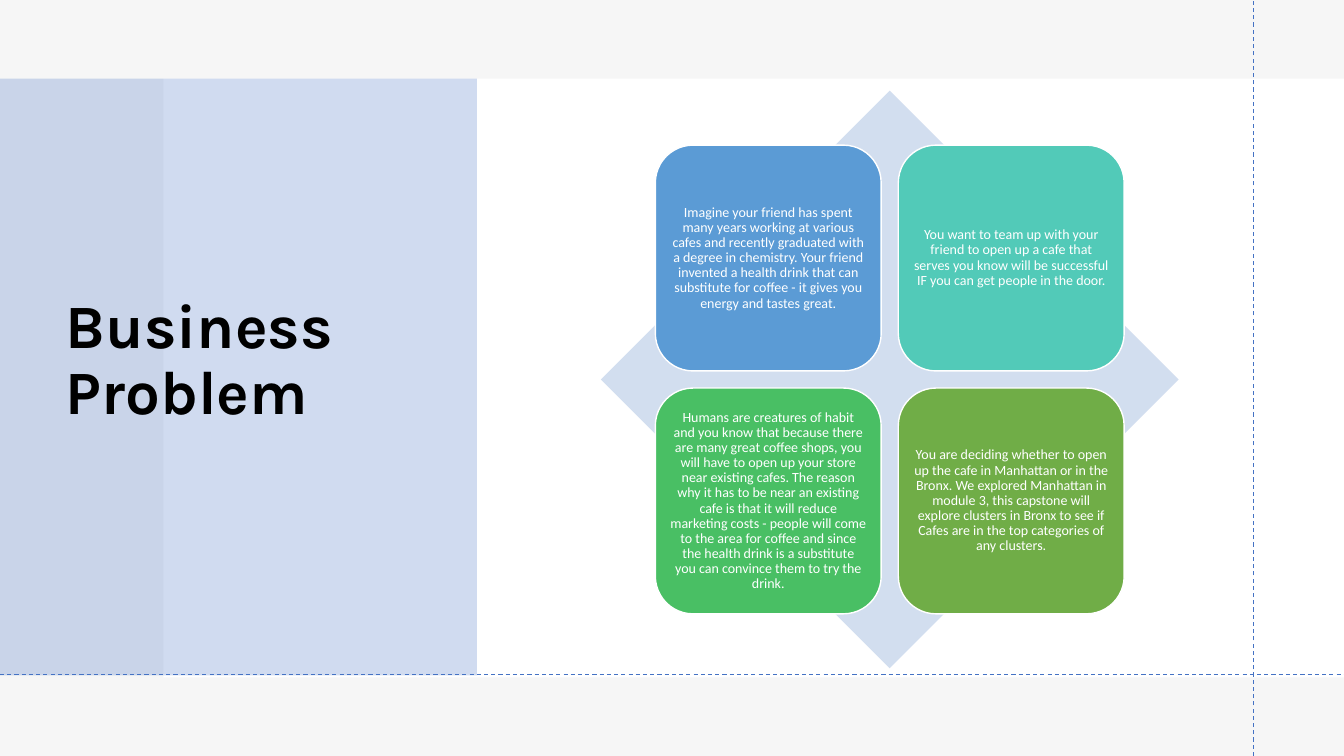
from lxml.etree import SubElement
from pptx import Presentation
from pptx.dml.color import RGBColor
from pptx.enum.dml import MSO_LINE
from pptx.enum.shapes import MSO_CONNECTOR, MSO_SHAPE
from pptx.enum.text import MSO_ANCHOR, MSO_AUTO_SIZE, PP_ALIGN
from pptx.oxml.ns import qn
from pptx.util import Inches, Pt

WHITE = RGBColor(0xFF, 0xFF, 0xFF)
BLACK = RGBColor(0x00, 0x00, 0x00)
GREY = RGBColor(0xE7, 0xE6, 0xE6)
BLUE = RGBColor(0x44, 0x72, 0xC4)
PALE_BLUE = RGBColor(0xD2, 0xDE, 0xEF)
SKY = RGBColor(0x5B, 0x9B, 0xD5)
TEAL = RGBColor(0x52, 0xCA, 0xB8)
GREEN = RGBColor(0x49, 0xBF, 0x64)
OLIVE = RGBColor(0x70, 0xAD, 0x47)

SLIDE_WIDTH, SLIDE_HEIGHT = 13.33, 7.5
TILE_LEFT, TILE_TOP, TILE_SIZE, TILE_PITCH = 6.5, 1.44, 2.24, 2.41

POINTS = [
    (SKY, "Imagine your friend has spent many years working at various cafes and "
          "recently graduated with a degree in chemistry. Your friend invented a "
          "health drink that can substitute for coffee - it gives you energy and "
          "tastes great."),
    (TEAL, "You want to team up with your friend to open up a cafe that serves you "
           "know will be successful IF you can get people in the door."),
    (GREEN, "Humans are creatures of habit and you know that because there are many "
            "great coffee shops, you will have to open up your store near existing "
            "cafes. The reason why it has to be near an existing cafe is that it will "
            "reduce marketing costs - people will come to the area for coffee and "
            "since the health drink is a substitute you can convince them to try the "
            "drink."),
    (OLIVE, "You are deciding whether to open up the cafe in Manhattan or in the "
            "Bronx. We explored Manhattan in module 3, this capstone will explore "
            "clusters in Bronx to see if Cafes are in the top categories of any "
            "clusters."),
]


class SlideBuilder:
    title_font = "Karla"
    body_font = "Calibri"

    def __init__(self, slide):
        self.slide = slide

    def shape(self, kind, left, top, width, height, color, opacity=100):
        shape = self.slide.shapes.add_shape(
            kind, Inches(left), Inches(top), Inches(width), Inches(height))
        shape.shadow.inherit = False
        shape.fill.solid()
        shape.fill.fore_color.rgb = color
        shape.line.fill.background()
        if opacity < 100:
            rgb = shape.element.spPr.find(qn("a:solidFill"))[0]
            SubElement(rgb, qn("a:alpha"), val=str(opacity * 1000))
        return shape

    def add_text(self, frame, text, font_name, size, color, align, bold=False):
        frame.word_wrap = True
        frame.auto_size = MSO_AUTO_SIZE.NONE
        frame.vertical_anchor = MSO_ANCHOR.MIDDLE
        paragraph = frame.paragraphs[0]
        paragraph.alignment = align
        paragraph.line_spacing = 0.9
        run = paragraph.add_run()
        run.text = text
        run.font.name = font_name
        run.font.size = Pt(size)
        run.font.bold = bold
        run.font.color.rgb = color

    def title(self, text, left, top, width, height):
        title = self.slide.shapes.title
        title.left, title.top = Inches(left), Inches(top)
        title.width, title.height = Inches(width), Inches(height)
        self.add_text(title.text_frame, text, self.title_font, 44, BLACK,
                      PP_ALIGN.LEFT, bold=True)
        # Bring the title in front of the panels drawn so far.
        title.element.getparent().append(title.element)

    def dashed_line(self, x1, y1, x2, y2):
        line = self.slide.shapes.add_connector(
            MSO_CONNECTOR.STRAIGHT, Inches(x1), Inches(y1), Inches(x2), Inches(y2))
        line.line.color.rgb = BLUE
        line.line.width = Pt(0.75)
        line.line.dash_style = MSO_LINE.DASH
        SubElement(line.element.spPr, qn("a:effectLst"))

    def tile(self, left, top, color, text):
        tile = self.shape(MSO_SHAPE.ROUNDED_RECTANGLE, left, top,
                          TILE_SIZE, TILE_SIZE, color)
        tile.line.color.rgb = WHITE
        tile.line.width = Pt(1)
        frame = tile.text_frame
        frame.margin_left = frame.margin_right = Inches(0.04)
        frame.margin_top = frame.margin_bottom = Inches(0.04)
        self.add_text(frame, text, self.body_font, 10, WHITE, PP_ALIGN.CENTER)


def main():
    presentation = Presentation()
    presentation.slide_width = Inches(SLIDE_WIDTH)
    presentation.slide_height = Inches(SLIDE_HEIGHT)
    slide = presentation.slides.add_slide(presentation.slide_layouts[5])
    builder = SlideBuilder(slide)

    builder.shape(MSO_SHAPE.RECTANGLE, 0, 0, SLIDE_WIDTH, SLIDE_HEIGHT, WHITE)
    builder.shape(MSO_SHAPE.RECTANGLE, 0, 0, SLIDE_WIDTH, SLIDE_HEIGHT, GREY, 35)
    builder.shape(MSO_SHAPE.RECTANGLE, 1.62, 0.78, 11.71, 5.94, WHITE)
    builder.shape(MSO_SHAPE.RECTANGLE, 0, 0.78, 4.73, 5.92, BLUE, 25)
    builder.title("Business Problem", 0.55, 0.74, 3.95, 5.69)
    builder.dashed_line(12.43, SLIDE_HEIGHT, 12.43, 0)
    builder.dashed_line(0, 6.69, SLIDE_WIDTH, 6.69)

    builder.shape(MSO_SHAPE.DIAMOND, 5.96, 0.9, 5.73, 5.73, PALE_BLUE)
    for index, (color, text) in enumerate(POINTS):
        row, column = divmod(index, 2)
        builder.tile(TILE_LEFT + column * TILE_PITCH, TILE_TOP + row * TILE_PITCH,
                     color, text)

    presentation.save("out.pptx")


if __name__ == "__main__":
    main()
